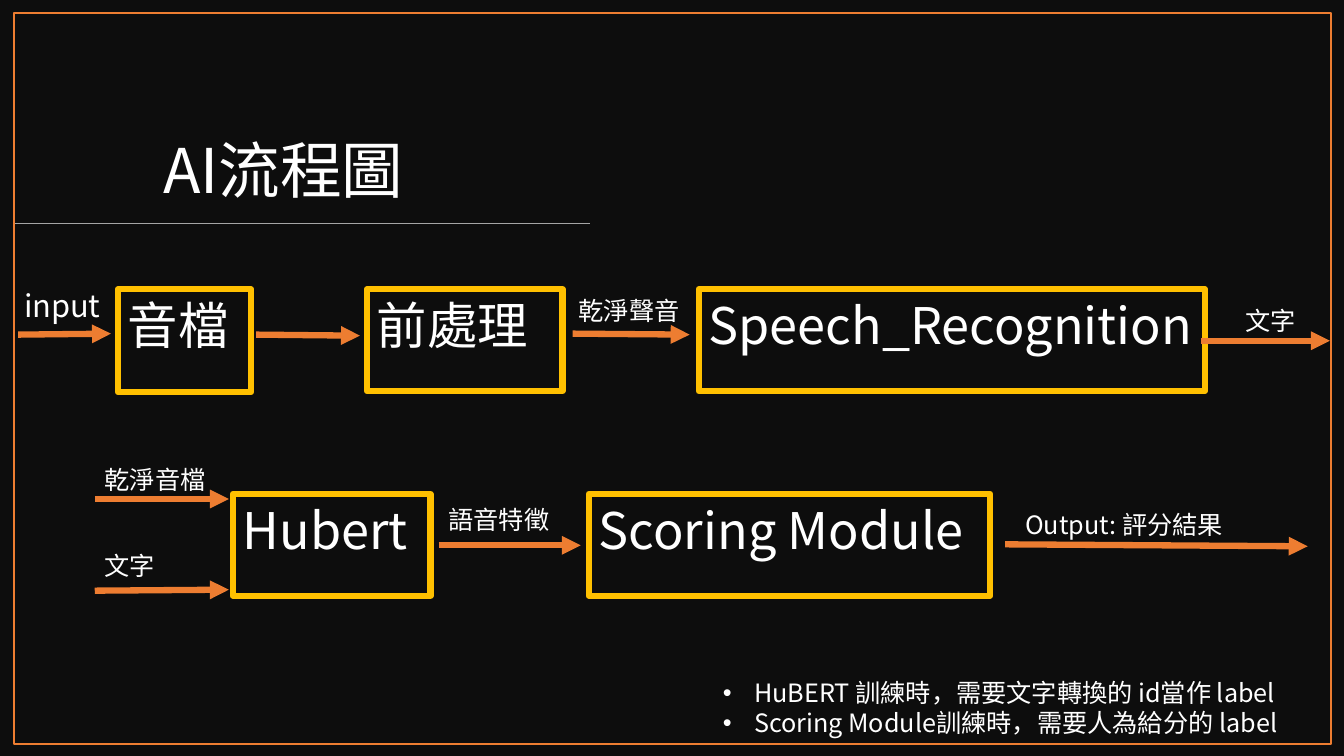
from typing import NamedTuple

from lxml import etree
from pptx import Presentation
from pptx import util as u
from pptx.dml.color import RGBColor
from pptx.enum import shapes, text
from pptx.oxml import ns

PX = 9144
FONT = "Noto Sans CJK SC"
FONT_NOTES = "Noto Sans CJK TC"
COLORS = {
    "background": "0D0D0D",
    "text": "FFFFFF",
    "accent": "ED7D31",
    "box": "FFC000",
    "rule": "A5A5A5",
}


class Area(NamedTuple):
    left: int
    top: int
    width: int
    height: int


class Box(NamedTuple):
    name: str
    area: Area


class Label(NamedTuple):
    caption: str
    area: Area
    size: int = 18


class Arrow(NamedTuple):
    x1: int
    y1: int
    x2: int
    y2: int


TITLE = Label("AI流程圖", Area(152, 65, 1052, 145), 44)

BOXES = [
    Box("音檔", Area(117, 287, 132, 102)),
    Box("前處理", Area(364, 287, 194, 101)),
    Box("Speech_Recognition", Area(693, 287, 502, 101)),
    Box("Hubert", Area(231, 490, 196, 101)),
    Box("Scoring Module", Area(584, 490, 398, 101)),
]

ARROWS = [
    Arrow(18, 332, 110, 331),
    Arrow(254, 332, 357, 333),
    Arrow(568, 331, 684, 332),
    Arrow(1191, 338, 1319, 338),
    Arrow(94, 495, 227, 495),
    Arrow(94, 586, 227, 585),
    Arrow(435, 541, 576, 541),
    Arrow(997, 540, 1297, 542),
]

LABELS = [
    Label("input", Area(14, 280, 109, 47), 22),
    Label("乾淨聲音", Area(564, 288, 125, 40)),
    Label("文字", Area(1225, 298, 78, 40)),
    Label("乾淨音檔", Area(94, 456, 206, 40)),
    Label("文字", Area(94, 541, 133, 40)),
    Label("語音特徵", Area(435, 495, 125, 40)),
    Label("Output: 評分結果", Area(1007, 500, 222, 71)),
]

NOTES = Label(
    "HuBERT 訓練時，需要文字轉換的 id當作 label\n"
    "Scoring Module訓練時，需要人為給分的 label",
    Area(707, 667, 612, 71),
)
NOTE_FONTS = [FONT, FONT_NOTES]


def color(name: str) -> RGBColor:
    return RGBColor.from_string(COLORS[name])


def emu(lengths) -> list[int]:
    return [u.Emu(length * PX) for length in lengths]


def style_paragraph(paragraph, size: int, font: str = FONT) -> None:
    paragraph.alignment = text.PP_ALIGN.LEFT
    for run in paragraph.runs:
        run.font.size = u.Pt(size)
        run.font.name = font
        run.font.color.rgb = color("text")
        east_asian = etree.SubElement(run.font._element, ns.qn("a:ea"))
        east_asian.set("typeface", font)


def write(shape, caption: str, size: int, anchor=text.MSO_ANCHOR.TOP):
    frame = shape.text_frame
    frame.word_wrap = True
    frame.vertical_anchor = anchor
    frame.text = caption
    return frame


def add_rectangle(slide, area: Area, fill: str = "", line: str = "", points: float = 1):
    shape = slide.shapes.add_shape(shapes.MSO_SHAPE.RECTANGLE, *emu(area))
    shape.shadow.inherit = False
    if fill:
        shape.fill.solid()
        shape.fill.fore_color.rgb = color(fill)
    else:
        shape.fill.background()
    if line:
        shape.line.color.rgb = color(line)
        shape.line.width = u.Pt(points)
    else:
        shape.line.fill.background()
    return shape


def add_box(slide, box: Box) -> None:
    shape = add_rectangle(slide, box.area, line="box", points=4.5)
    style_paragraph(write(shape, box.name, 36).paragraphs[0], 36)


def add_label(slide, label: Label, anchor=text.MSO_ANCHOR.TOP, fonts=(FONT,)):
    shape = slide.shapes.add_textbox(*emu(label.area))
    frame = write(shape, label.caption, label.size, anchor)
    for paragraph, font in zip(frame.paragraphs, fonts):
        style_paragraph(paragraph, label.size, font)
    return frame


def add_line(slide, ends: Arrow, line: str, points: float):
    connector = slide.shapes.add_connector(shapes.MSO_CONNECTOR.STRAIGHT, *emu(ends))
    connector.line.color.rgb = color(line)
    connector.line.width = u.Pt(points)
    etree.SubElement(connector._element.spPr, ns.qn("a:effectLst"))
    return connector


def add_arrow(slide, arrow: Arrow) -> None:
    connector = add_line(slide, arrow, "accent", 4.5)
    tail = etree.SubElement(connector.line._get_or_add_ln(), ns.qn("a:tailEnd"))
    tail.set("type", "triangle")


def add_bullet(paragraph) -> None:
    properties = paragraph._p.get_or_add_pPr()
    properties.set("marL", str(31 * PX))
    properties.set("indent", str(-31 * PX))
    bullet_font = etree.SubElement(properties, ns.qn("a:buFont"))
    bullet_font.set("typeface", "Arial")
    etree.SubElement(properties, ns.qn("a:buChar")).set("char", "•")


def main() -> None:
    presentation = Presentation()
    presentation.slide_width, presentation.slide_height = emu((1333, 750))
    slide = presentation.slides.add_slide(presentation.slide_layouts[6])

    add_rectangle(slide, Area(0, 0, 1333, 750), fill="background")
    title = add_label(slide, TITLE, text.MSO_ANCHOR.BOTTOM)
    title.paragraphs[0].line_spacing = 0.9
    add_line(slide, Arrow(585, 222, 14, 222), "rule", 0.75)
    add_rectangle(slide, Area(14, 13, 1306, 725), line="accent")

    for box in BOXES:
        add_box(slide, box)
    for arrow in ARROWS:
        add_arrow(slide, arrow)
    for label in LABELS:
        add_label(slide, label)

    notes = add_label(slide, NOTES, fonts=NOTE_FONTS)
    for paragraph in notes.paragraphs:
        add_bullet(paragraph)

    presentation.save("out.pptx")


if __name__ == "__main__":
    main()
